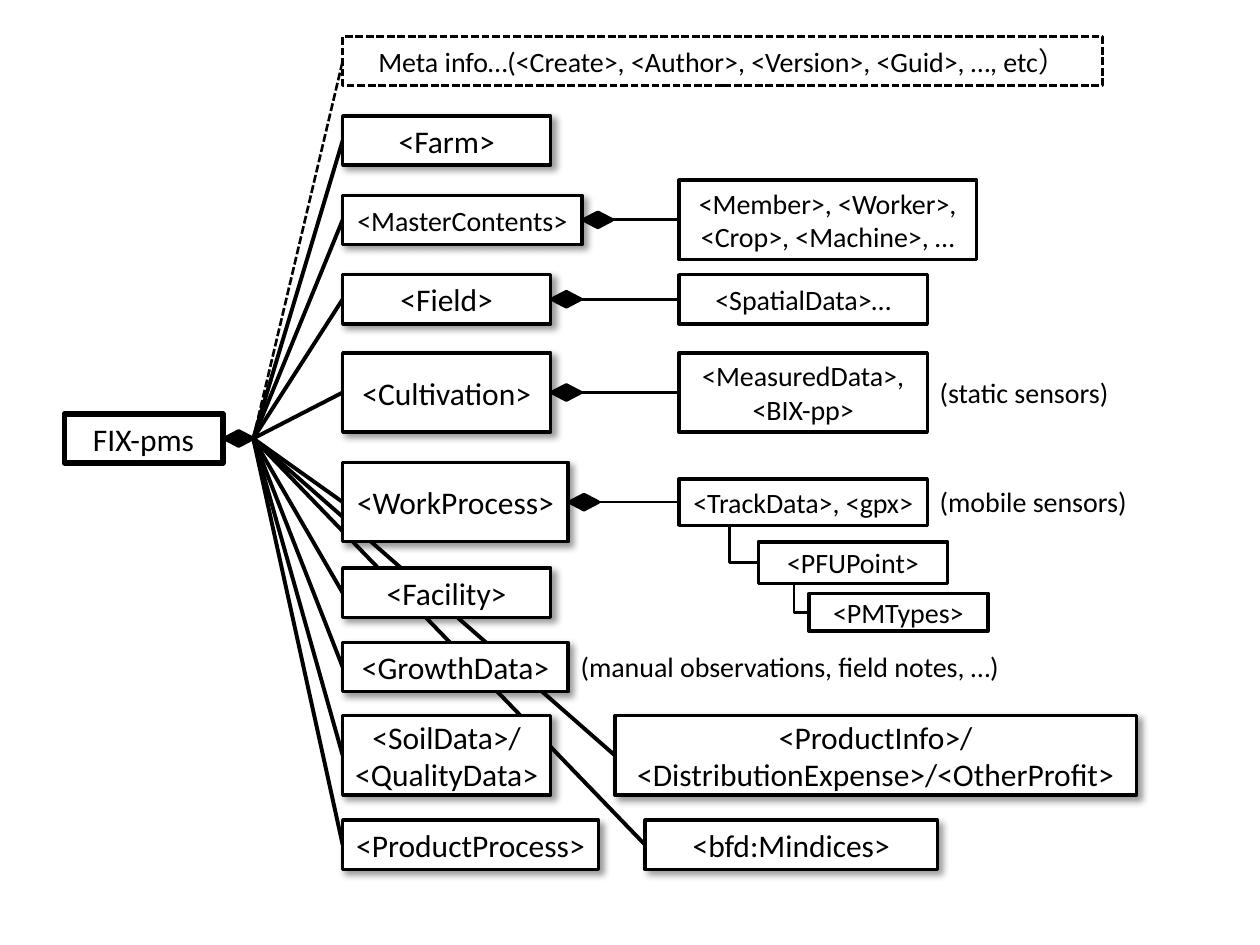
from dataclasses import dataclass

from lxml.etree import SubElement
from pptx import Presentation
from pptx.dml.color import RGBColor
from pptx.enum.dml import MSO_LINE
from pptx.enum.shapes import MSO_CONNECTOR as Link, MSO_SHAPE as Preset
from pptx.enum.text import MSO_ANCHOR, MSO_AUTO_SIZE, PP_ALIGN
from pptx.oxml.ns import qn
from pptx.util import Inches, Pt

INK, PAPER = "000000", "FFFFFF"
FONT = "Calibri"

# Grid of 100 columns by 75 rows, one tenth of an inch each
CELL = Inches(0.1)
ROOT, MAIN, DETAIL = 5.1, 27.2, 53.9
SINGLE, DOUBLE = 3.9, 6.3
META, FARM, MASTER, FIELD, CULTIVATION = 4.85, 11.15, 17.45, 23.75, 31.15
WORK, FACILITY, GROWTH, SOIL, PRODUCT = 39.85, 47.05, 52.95, 59.95, 67.05
HUB = (20.1, 34.8)
DIAMOND_WIDTH, DIAMOND_HEIGHT = 2.3, 1.2


@dataclass(frozen=True)
class Node:
    text: str
    left: float
    middle: float
    width: float
    height: float = SINGLE
    size: int = 18
    shadow: bool = False
    line: float = 2
    dashed: bool = False

    @property
    def right(self) -> float:
        return self.left + self.width

    @property
    def bottom(self) -> float:
        return self.middle + self.height / 2


@dataclass(frozen=True)
class Note:
    text: str
    left: float
    middle: float
    width: float


def cells(*values: float) -> list[int]:
    return [round(value * CELL) for value in values]


def color(value: str) -> RGBColor:
    return RGBColor.from_string(value)


def style_line(line, width: float, dashed: bool = False) -> None:
    line.color.rgb = color(INK)
    line.width = Pt(width)
    if dashed:
        line.dash_style = MSO_LINE.SQUARE_DOT


def style_text(frame, text: str, size: int, align: PP_ALIGN) -> None:
    frame.word_wrap = True
    frame.text = text
    for paragraph in frame.paragraphs:
        paragraph.alignment = align
        paragraph.font.name = FONT
        paragraph.font.size = Pt(size)
        paragraph.font.color.rgb = color(INK)


def add_preset(preset: Preset, left: float, middle: float, width: float,
               height: float, fill: str, line: float, dashed: bool = False):
    shape = slide.shapes.add_shape(
        preset, *cells(left, middle - height / 2, width, height))
    shape.shadow.inherit = False
    shape.fill.solid()
    shape.fill.fore_color.rgb = color(fill)
    style_line(shape.line, line, dashed)
    return shape


def add_drop_shadow(shape) -> None:
    effects = shape.element.spPr.find(qn("a:effectLst"))
    shadow = SubElement(effects, qn("a:outerShdw"), blurRad=str(Pt(4)), dist=str(Pt(3)),
                        dir="2700000", algn="tl", rotWithShape="0")
    tint = SubElement(shadow, qn("a:srgbClr"), val=INK)
    SubElement(tint, qn("a:alpha"), val="40000")


def draw_node(node: Node) -> None:
    box = add_preset(Preset.RECTANGLE, node.left, node.middle, node.width,
                     node.height, PAPER, node.line, node.dashed)
    if node.shadow:
        add_drop_shadow(box)
    box.text_frame.vertical_anchor = MSO_ANCHOR.MIDDLE
    style_text(box.text_frame, node.text, node.size, PP_ALIGN.CENTER)


def draw_note(note: Note) -> None:
    box = slide.shapes.add_textbox(
        *cells(note.left, note.middle - 1.85, note.width, 3.7))
    style_text(box.text_frame, note.text, 16, PP_ALIGN.LEFT)
    box.text_frame.auto_size = MSO_AUTO_SIZE.SHAPE_TO_FIT_TEXT


def draw_link(kind: Link, start: tuple[float, float], end: tuple[float, float],
              width: float, dashed: bool = False):
    link = slide.shapes.add_connector(kind, *cells(*start, *end))
    style_line(link.line, width, dashed)
    SubElement(link.element.spPr, qn("a:effectLst"))
    return link


def draw_corner(parent: Node, child: Node, column: float) -> None:
    """Run down from the parent, then right to the child."""
    across, down = child.left - column, child.middle - parent.bottom
    x, y = column + across / 2, parent.bottom + down / 2
    link = draw_link(Link.ELBOW, (x - down / 2, y - across / 2),
                     (x + down / 2, y + across / 2), 1.5)
    properties = link.element.spPr
    properties.find(qn("a:prstGeom")).set("prst", "bentConnector2")
    frame = properties.find(qn("a:xfrm"))
    frame.set("rot", "16200000")
    frame.set("flipH", "1")


def draw_diamond(left: float, middle: float) -> None:
    add_preset(Preset.DIAMOND, left, middle, DIAMOND_WIDTH, DIAMOND_HEIGHT, INK, 2)


def element(text: str, middle: float, width: float = 16.5,
            height: float = SINGLE, left: float = MAIN, size: int = 18) -> Node:
    return Node(text, left, middle, width, height, size, shadow=True)


def detail(text: str, middle: float, width: float = 19.7,
           height: float = SINGLE, left: float = DETAIL) -> Node:
    return Node(text, left, middle, width, height, 16)


# Root and its direct elements
root = Node("FIX-pms", ROOT, HUB[1], 12.6, line=3)
meta = Node("Meta info…(<Create>, <Author>, <Version>, <Guid>, …, etc）",
            MAIN, META, 60.3, size=16, line=1.5, dashed=True)
master = element("<MasterContents>", MASTER, 19, size=16)
field = element("<Field>", FIELD)
cultivation = element("<Cultivation>", CULTIVATION, height=DOUBLE)
work = element("<WorkProcess>", WORK, 17.9, DOUBLE)
growth = element("<GrowthData>", GROWTH, 17.9)
branches = [
    element("<ProductInfo>/<DistributionExpense>/<OtherProfit>", SOIL, 41.4, DOUBLE, 48.8),
    element("<bfd:Mindices>", PRODUCT, 23.2, left=51.2),
    meta, element("<Farm>", FARM), master, field, cultivation, work,
    element("<Facility>", FACILITY), growth,
    element("<SoilData>/\v<QualityData>", SOIL, height=DOUBLE),
    element("<ProductProcess>", PRODUCT, 20.3),
]

# Details
track = detail("<TrackData>, <gpx>", WORK, height=3.7)
point = detail("<PFUPoint>", 44.65, 15, 3.3, 60.2)
types = detail("<PMTypes>", 48.6, 14.2, 3, 64.2)
details = [
    (master, detail("<Member>, <Worker>,\v<Crop>, <Machine>, …", MASTER, 23.6, DOUBLE)),
    (field, detail("<SpatialData>…", FIELD)),
    (cultivation, detail("<MeasuredData>, <BIX-pp>", CULTIVATION, height=DOUBLE)),
    (work, track),
]
notes = [
    Note("(static sensors)", track.right, CULTIVATION, 19.7),
    Note("(mobile sensors)", track.right, WORK, 19.7),
    Note("(manual observations, field notes, …)", growth.right, GROWTH, 38.2),
]

presentation = Presentation()
presentation.slide_width, presentation.slide_height = cells(100, 75)
slide = presentation.slides.add_slide(presentation.slide_layouts[6])

# Links lie behind the boxes
for branch in branches:
    draw_link(Link.STRAIGHT, HUB, (branch.left, branch.middle),
              1.5 if branch.dashed else 2.25, branch.dashed)
for owner, part in details:
    draw_link(Link.ELBOW, (owner.right, owner.middle), (part.left, owner.middle), 1.5)
draw_corner(track, point, 57.9)
draw_corner(point, types, 63)

# Boxes and notes
for node in [types, point, root, *branches, *(part for _, part in details)]:
    draw_node(node)
for note in notes:
    draw_note(note)

# Diamonds mark each owner
for owner in [root, *(owner for owner, _ in details)]:
    draw_diamond(owner.right + 0.1, owner.middle)

presentation.save("out.pptx")
